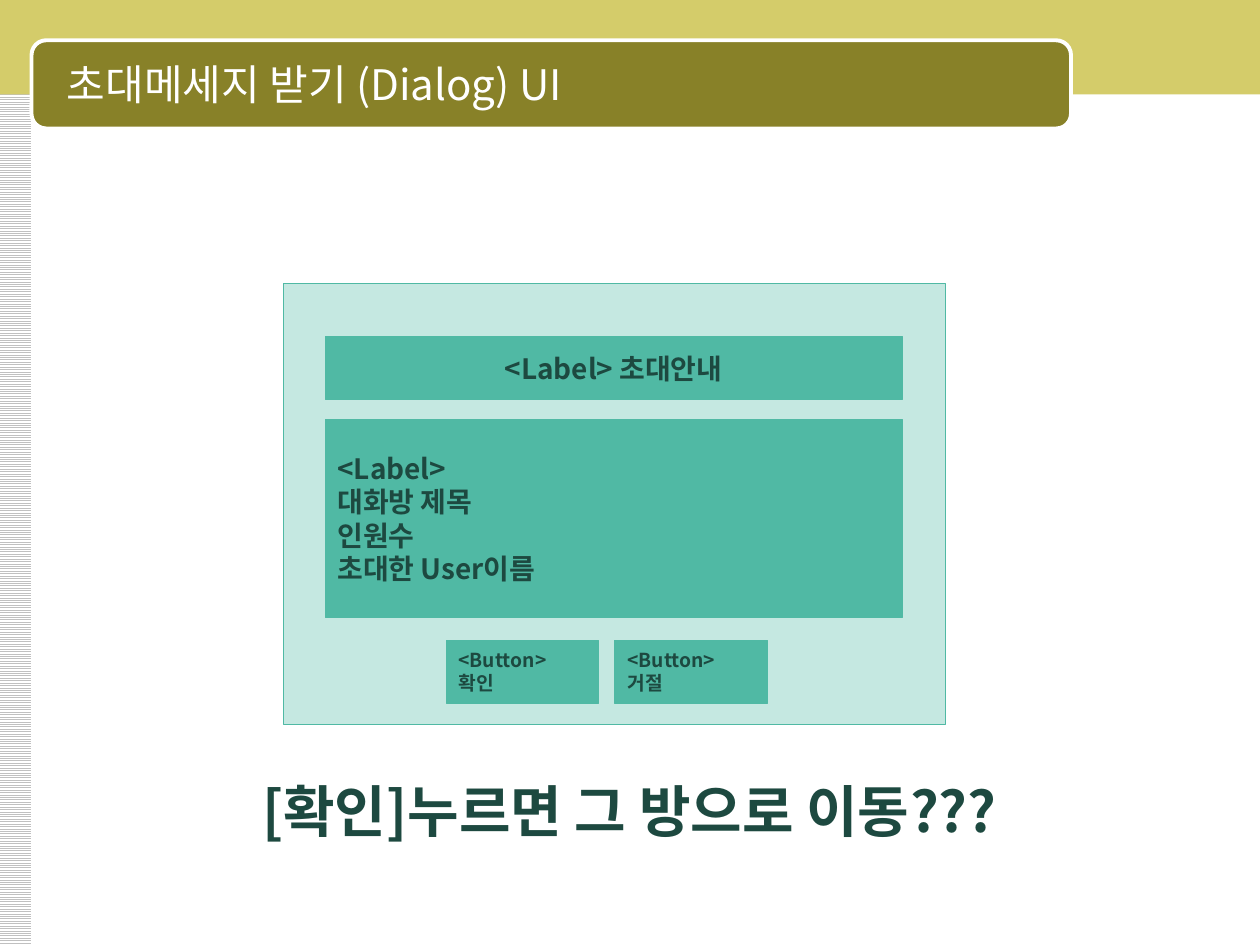
from dataclasses import dataclass

from lxml.etree import SubElement
from pptx import Presentation
from pptx.dml.color import RGBColor
from pptx.enum.dml import MSO_PATTERN
from pptx.enum.shapes import MSO_SHAPE
from pptx.enum.text import MSO_ANCHOR, PP_ALIGN
from pptx.oxml.ns import qn
from pptx.util import Inches, Pt


@dataclass(frozen=True)
class Theme:
    font: str = "Noto Sans CJK KR"
    white: str = "FFFFFF"
    stripe: str = "C0C0C0"
    band: str = "D4CC6A"
    title_bar: str = "888128"
    window: str = "C5E8E1"
    control: str = "50B9A4"
    ink: str = "1D4940"
    title_size: int = 24
    label_size: int = 16
    button_size: int = 11
    note_size: int = 32


THEME = Theme()


def color(code):
    return RGBColor.from_string(code)


def add_box(slide, place, fill, line=None, weight=0.5, kind=MSO_SHAPE.RECTANGLE):
    box = slide.shapes.add_shape(kind, *map(Inches, place))
    box.shadow.inherit = False
    box.fill.solid()
    box.fill.fore_color.rgb = color(fill)
    if line:
        box.line.color.rgb = color(line)
        box.line.width = Pt(weight)
    else:
        box.line.fill.background()
    return box


def write(shape, text, size, ink=THEME.ink, bold=True, align=PP_ALIGN.LEFT):
    frame = shape.text_frame
    frame.text = text
    frame.word_wrap = True
    frame.vertical_anchor = MSO_ANCHOR.MIDDLE
    for paragraph in frame.paragraphs:
        paragraph.alignment = align
        for run in paragraph.runs:
            run.font.name = THEME.font
            run.font.size = Pt(size)
            run.font.bold = bold
            run.font.color.rgb = color(ink)
            # Korean glyphs take the East Asian typeface
            SubElement(run.font._element, qn("a:ea"), typeface=THEME.font)
    return frame


def add_text(slide, place, text, size, **style):
    return write(slide.shapes.add_textbox(*map(Inches, place)), text, size, **style)


def add_control(slide, place, text, size, **style):
    control = add_box(slide, place, THEME.control, THEME.control)
    write(control, text, size, **style)


def add_frame(slide):
    # Striped left edge
    edge = add_box(slide, (-0.01, 0, 0.26, 7.5), THEME.white)
    edge.fill.patterned()
    edge.fill.pattern = MSO_PATTERN.LIGHT_HORIZONTAL
    edge.fill.fore_color.rgb = color(THEME.stripe)
    edge.fill.back_color.rgb = color(THEME.white)

    # Top band and title bar
    add_box(slide, (-0.01, 0, 10.02, 0.75), THEME.band)
    add_box(slide, (0.25, 0.32, 8.25, 0.7), THEME.title_bar, THEME.white, 2.25,
            MSO_SHAPE.ROUNDED_RECTANGLE).adjustments[0] = 0.167
    title = add_text(slide, (0.33, 0.35, 8.08, 0.62), "초대메세지 받기 (Dialog) UI",
                     THEME.title_size, ink=THEME.white, bold=False)
    title.margin_left = Inches(0.2)


def add_dialog(slide):
    add_box(slide, (2.25, 2.25, 5.25, 3.5), THEME.window, THEME.control)

    # Labels
    left, width = 2.58, 4.58
    add_control(slide, (left, 2.67, width, 0.5), "<Label> 초대안내",
                THEME.label_size, align=PP_ALIGN.CENTER)
    add_control(slide, (left, 3.33, width, 1.57),
                "<Label>\n대화방 제목\n인원수\n초대한 User이름", THEME.label_size)

    # Buttons
    for index, caption in enumerate(("확인", "거절")):
        add_control(slide, (3.54 + index * 1.34, 5.08, 1.21, 0.5),
                    f"<Button>\n{caption}", THEME.button_size)


def main():
    deck = Presentation()
    deck.slide_width, deck.slide_height = Inches(10), Inches(7.5)
    slide = deck.slides.add_slide(deck.slide_layouts[6])
    add_frame(slide)
    add_dialog(slide)
    # Question below the dialog
    add_text(slide, (1.08, 6.11, 7.83, 0.64), "[확인]누르면 그 방으로 이동???",
             THEME.note_size, align=PP_ALIGN.CENTER)
    deck.save("out.pptx")


main()
